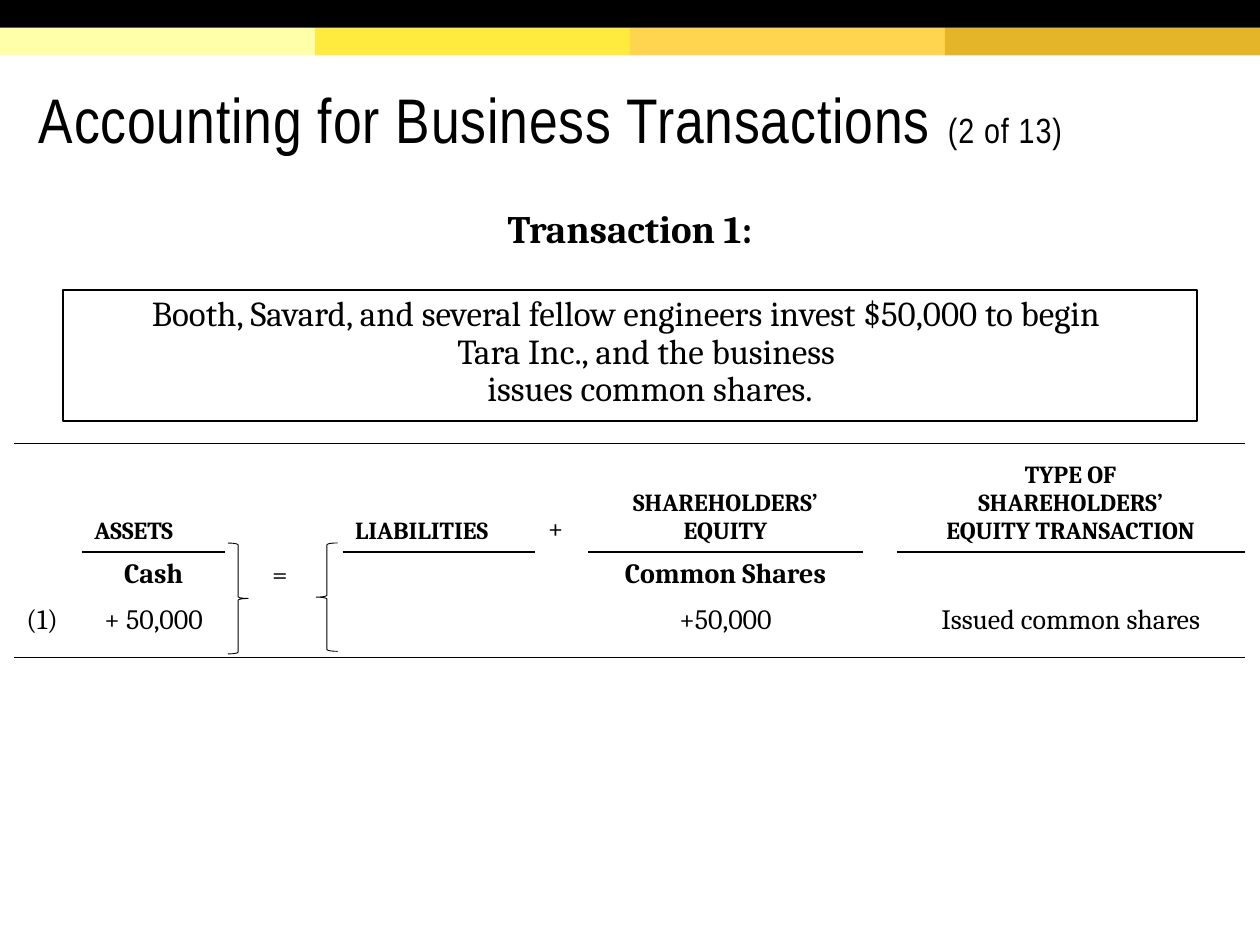
from lxml import etree
from pptx import Presentation
from pptx.dml.color import RGBColor
from pptx.enum.shapes import MSO_SHAPE
from pptx.enum.text import MSO_ANCHOR, PP_ALIGN
from pptx.oxml.ns import qn
from pptx.util import Inches, Pt

RECTANGLE = MSO_SHAPE.RECTANGLE
LEFT_BRACE, RIGHT_BRACE = MSO_SHAPE.LEFT_BRACE, MSO_SHAPE.RIGHT_BRACE
LEFT, CENTER = PP_ALIGN.LEFT, PP_ALIGN.CENTER
TOP, MIDDLE, BOTTOM = MSO_ANCHOR.TOP, MSO_ANCHOR.MIDDLE, MSO_ANCHOR.BOTTOM

BLACK = "000000"
BAND_COLORS = ["FFFFAA", "FFEA3D", "FFD54F", "E4B429"]
TITLE_FONT, BODY_FONT = "Arial Narrow", "Cambria"
NO_STYLE_NO_GRID = "{2D5ABB26-0587-4C30-8999-92F81FD0307C}"

COLUMN_WIDTHS = [0.54, 1.14, 0.27, 0.39, 0.27, 1.53, 0.42, 2.18, 0.27, 2.76]
ROW_HEIGHTS = [0.86, 0.36, 0.47]
HEADING_COLUMNS = [1, 5, 7, 9]
# (row, column): (text, size, bold, alignment, anchor)
CELLS = {
    (0, 1): ("ASSETS", 14, True, LEFT, BOTTOM),
    (0, 5): ("LIABILITIES", 14, True, LEFT, BOTTOM),
    (0, 6): ("+", 16, False, LEFT, BOTTOM),
    (0, 7): ("SHAREHOLDERS’\nEQUITY", 14, True, CENTER, BOTTOM),
    (0, 9): ("TYPE OF\nSHAREHOLDERS’\nEQUITY TRANSACTION", 14, True, CENTER, BOTTOM),
    (1, 1): ("Cash", 16, True, CENTER, TOP),
    (1, 3): ("=", 16, False, LEFT, BOTTOM),
    (1, 7): ("Common Shares", 16, True, CENTER, TOP),
    (2, 0): ("(1)", 16, False, LEFT, TOP),
    (2, 1): ("+ 50,000", 16, False, CENTER, TOP),
    (2, 7): ("+50,000", 16, False, CENTER, TOP),
    (2, 9): ("Issued common shares", 16, False, CENTER, TOP),
}


def color(value):
    return RGBColor.from_string(value)


def add_run(paragraph, text, size, font_name=BODY_FONT, bold=False):
    """Add text to the paragraph, with a line break at each newline."""
    for index, line in enumerate(text.split("\n")):
        if index:
            paragraph.add_line_break()
        run = paragraph.add_run()
        run.text = line
        run.font.name = font_name
        run.font.size = Pt(size)
        run.font.bold = bold
        run.font.color.rgb = color(BLACK)
    return run


def add_shape(slide, kind, left, top, width, height, fill=None, line_width=None):
    shape = slide.shapes.add_shape(
        kind, Inches(left), Inches(top), Inches(width), Inches(height))
    shape.shadow.inherit = False
    if fill:
        shape.fill.solid()
        shape.fill.fore_color.rgb = color(fill)
    else:
        shape.fill.background()
    if line_width:
        shape.line.color.rgb = color(BLACK)
        shape.line.width = Pt(line_width)
    else:
        shape.line.fill.background()
    return shape


def add_header_bands(slide, left, top, width, height):
    band_height = height / 2
    band_width = width / len(BAND_COLORS)
    for index, fill in enumerate(BAND_COLORS):
        add_shape(slide, RECTANGLE, left + index * band_width, top + band_height,
                  band_width, band_height, fill)
    add_shape(slide, RECTANGLE, left, top, width, band_height, BLACK)


def add_title(slide, left, top, width, height):
    box = slide.shapes.add_textbox(
        Inches(left), Inches(top), Inches(width), Inches(height))
    frame = box.text_frame
    frame.word_wrap = True
    frame.vertical_anchor = MIDDLE
    frame.margin_top = Inches(0.1)
    paragraph = frame.paragraphs[0]
    paragraph.line_spacing = 0.85
    for text, size in [("Accounting for Business Transactions ", 36), ("(2 of 13)", 20)]:
        run = add_run(paragraph, text, size, TITLE_FONT)
        run.font._element.set("spc", "50")


def add_statement(slide, left, top, width, height, text, size, bold=False, line_width=None):
    """Add a centred paragraph with a hanging indent, framed if a line width is given."""
    shape = add_shape(slide, RECTANGLE, left, top, width, height, line_width=line_width)
    frame = shape.text_frame
    frame.word_wrap = True
    frame.vertical_anchor = TOP
    paragraph = frame.paragraphs[0]
    paragraph.alignment = CENTER
    paragraph.line_spacing = 0.9
    properties = paragraph._p.get_or_add_pPr()
    properties.set("marL", str(Inches(0.32)))
    properties.set("indent", str(-Inches(0.32)))
    add_run(paragraph, text, size, bold=bold)


def add_border(cell, side):
    """Rule one side of a cell: lnT is the top, lnB the bottom."""
    properties = cell._tc.get_or_add_tcPr()
    line = etree.Element(qn("a:" + side), w=str(Pt(1)))
    fill = etree.SubElement(line, qn("a:solidFill"))
    etree.SubElement(fill, qn("a:srgbClr"), val=BLACK)
    borders = [child for child in properties if child.tag in (qn("a:lnT"), qn("a:lnB"))]
    properties.insert(len(borders), line)


def fill_cell(cell, content):
    paragraph = cell.text_frame.paragraphs[0]
    if content is None:
        etree.SubElement(paragraph._p, qn("a:endParaRPr"), sz="1400")
        return
    text, size, bold, alignment, anchor = content
    cell.vertical_anchor = anchor
    paragraph.alignment = alignment
    add_run(paragraph, text, size, bold=bold)


def add_equation_table(slide, left, top):
    last_row = len(ROW_HEIGHTS) - 1
    frame = slide.shapes.add_table(
        len(ROW_HEIGHTS), len(COLUMN_WIDTHS), Inches(left), Inches(top),
        Inches(sum(COLUMN_WIDTHS)), Inches(sum(ROW_HEIGHTS)))
    table = frame.table
    table.first_row = table.horz_banding = False
    table._tbl.tblPr.find(qn("a:tableStyleId")).text = NO_STYLE_NO_GRID
    for column, width in zip(table.columns, COLUMN_WIDTHS):
        column.width = Inches(width)
    for row, height in zip(table.rows, ROW_HEIGHTS):
        row.height = Inches(height)
    for row in range(len(ROW_HEIGHTS)):
        for column in range(len(COLUMN_WIDTHS)):
            cell = table.cell(row, column)
            cell.fill.background()
            fill_cell(cell, CELLS.get((row, column)))
            if row == 0:
                add_border(cell, "lnT")
            if row == last_row or (row == 0 and column in HEADING_COLUMNS):
                add_border(cell, "lnB")

    brace_top = top + 0.79
    add_shape(slide, RIGHT_BRACE, left + 1.7, brace_top, 0.16, 0.88, line_width=0.5)
    add_shape(slide, LEFT_BRACE, left + 2.4, brace_top, 0.17, 0.86, line_width=0.5)


def main():
    presentation = Presentation()
    presentation.slide_width = Inches(10)
    presentation.slide_height = Inches(7.5)
    slide = presentation.slides.add_slide(presentation.slide_layouts[6])
    add_header_bands(slide, 0, 0, 10, 0.44)
    add_title(slide, 0.21, 0.47, 9.49, 0.98)
    add_statement(slide, 0.5, 1.62, 9, 0.45, "Transaction 1:", 22.2, bold=True)
    add_statement(
        slide, 0.5, 2.3, 9, 1.04,
        "Booth, Savard, and several fellow engineers invest $50,000 to begin \n"
        "Tara Inc., and the business \nissues common shares.",
        20, line_width=1)
    add_equation_table(slide, 0.11, 3.52)
    presentation.save("out.pptx")


if __name__ == "__main__":
    main()
